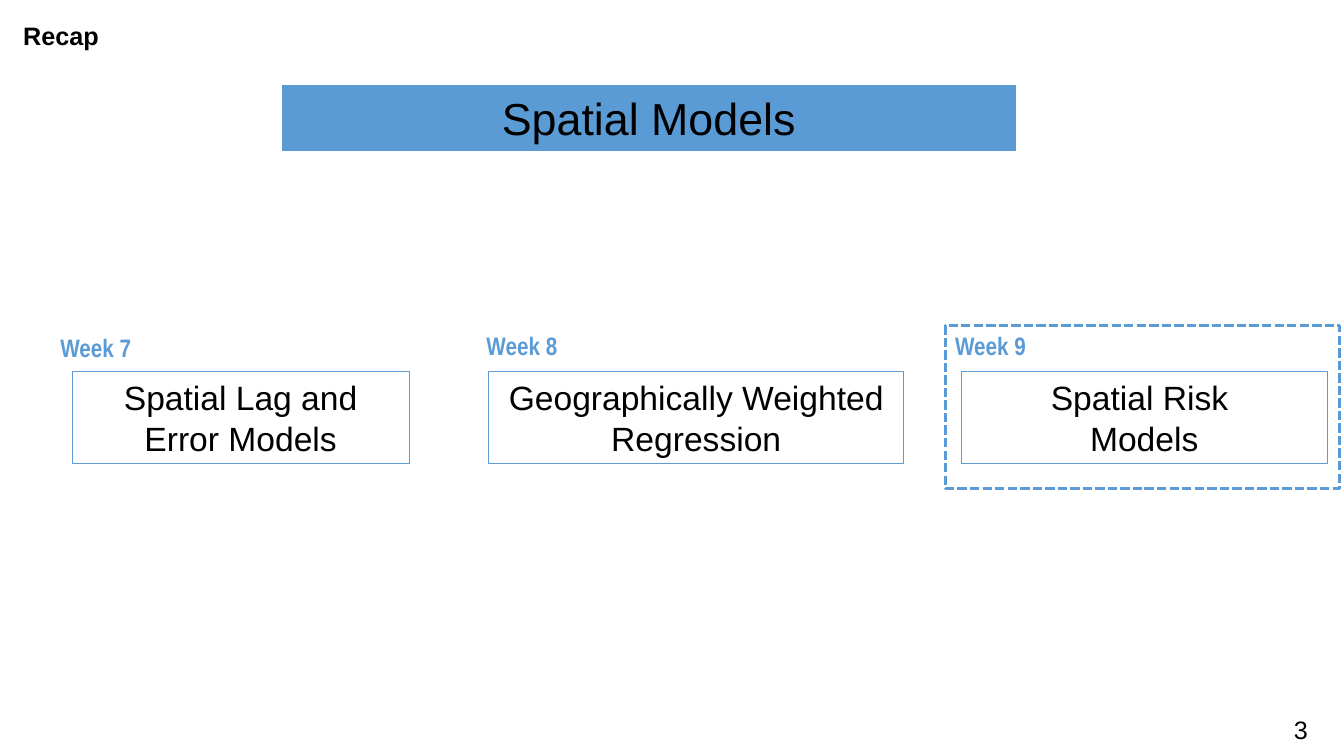
"""Build the recap slide on spatial models, week by week."""
from dataclasses import dataclass

from pptx import Presentation
from pptx.dml.color import RGBColor
from pptx.enum.dml import MSO_LINE
from pptx.enum.shapes import MSO_SHAPE
from pptx.enum.text import MSO_ANCHOR, MSO_AUTO_SIZE, PP_ALIGN
from pptx.shapes.autoshape import Shape
from pptx.slide import Slide
from pptx.util import Cm, Pt

RECTANGLE = MSO_SHAPE.RECTANGLE
DOTTED = MSO_LINE.SQUARE_DOT
TOP, MIDDLE = MSO_ANCHOR.TOP, MSO_ANCHOR.MIDDLE
LEFT, CENTER = PP_ALIGN.LEFT, PP_ALIGN.CENTER
NO_AUTOFIT = MSO_AUTO_SIZE.NONE

BLUE = RGBColor(0x5B, 0x9B, 0xD5)
BLACK = RGBColor(0, 0, 0)

TOPIC_TOP, TOPIC_HEIGHT = 9.37, 2.31
WEEK_HEIGHT = 4.11


@dataclass(frozen=True)
class Area:
    """Place and size in centimetres."""
    left: float
    top: float
    width: float
    height: float

    def lengths(self) -> tuple[Cm, Cm, Cm, Cm]:
        """Return left, top, width and height as lengths."""
        return Cm(self.left), Cm(self.top), Cm(self.width), Cm(self.height)


@dataclass(frozen=True)
class Week:
    """One week of the course and the model it covers."""
    label: str
    area: Area
    topic: str
    topic_left: float
    topic_width: float
    current: bool = False


WEEKS = (
    Week("Week 7", Area(1.27, 8.26, 9.75, WEEK_HEIGHT),
         "Spatial Lag and Error Models", 1.82, 8.49),
    Week("Week 8", Area(12.01, 8.2, 11.35, WEEK_HEIGHT),
         "Geographically Weighted Regression", 12.31, 10.47),
    Week("Week 9", Area(23.82, 8.2, 9.94, WEEK_HEIGHT),
         "Spatial Risk \nModels", 24.22, 9.23, current=True),
)


def write(shape: Shape, text: str, size: int, color: RGBColor = BLACK, font: str = "Arial",
          bold: bool = False, align: PP_ALIGN = LEFT, anchor: MSO_ANCHOR = TOP) -> None:
    """Put formatted text in a shape."""
    frame = shape.text_frame
    frame.text = text
    frame.word_wrap = True
    frame.auto_size = NO_AUTOFIT
    frame.vertical_anchor = anchor
    for paragraph in frame.paragraphs:
        paragraph.alignment = align
        for run in paragraph.runs:
            run.font.name = font
            run.font.size = Pt(size)
            run.font.bold = bold
            run.font.color.rgb = color


def add_box(slide: Slide, area: Area, line_width: float = 0.75, filled: bool = False) -> Shape:
    """Add a rectangle with a blue outline."""
    box = slide.shapes.add_shape(RECTANGLE, *area.lengths())
    box.shadow.inherit = False
    box.line.color.rgb = BLUE
    box.line.width = Pt(line_width)
    if filled:
        box.fill.solid()
        box.fill.fore_color.rgb = BLUE
    else:
        box.fill.background()
    return box


def add_week(slide: Slide, week: Week) -> None:
    """Add a topic box and its week label, framed when current."""
    topic_area = Area(week.topic_left, TOPIC_TOP, week.topic_width, TOPIC_HEIGHT)
    topic = add_box(slide, topic_area)
    write(topic, week.topic, 24, align=CENTER, anchor=MIDDLE)
    if week.current:
        label = add_box(slide, week.area, line_width=2.25)
        label.line.dash_style = DOTTED
    else:
        label = slide.shapes.add_textbox(*week.area.lengths())
    write(label, week.label, 18, BLUE, "Arial Narrow", bold=True)


def main() -> None:
    """Build and save the slide."""
    deck = Presentation()
    deck.slide_width, deck.slide_height = Cm(33.87), Cm(19.05)
    slide = deck.slides.add_slide(deck.slide_layouts[5])

    title = slide.shapes.title
    title.left, title.top, title.width, title.height = Area(0.33, 0.38, 6.38, 1.02).lengths()
    write(title, "Recap", 18, bold=True)

    heading = add_box(slide, Area(7.11, 2.16, 18.49, 1.63), filled=True)
    write(heading, "Spatial Models", 32, align=CENTER, anchor=MIDDLE)

    for week in WEEKS:
        add_week(slide, week)

    page_number = slide.shapes.add_textbox(*Area(32.36, 17.88, 1.5, 0.41).lengths())
    write(page_number, "3", 18)

    deck.save("out.pptx")


if __name__ == "__main__":
    main()
